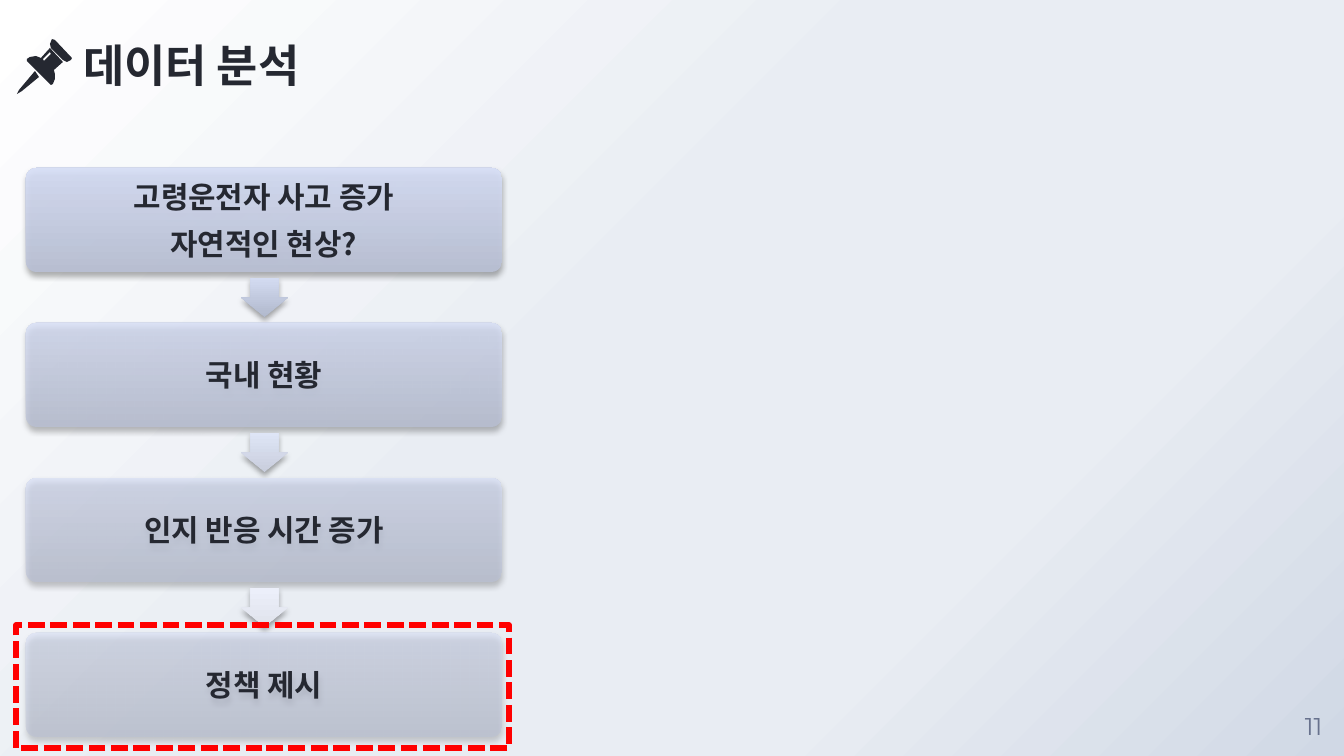
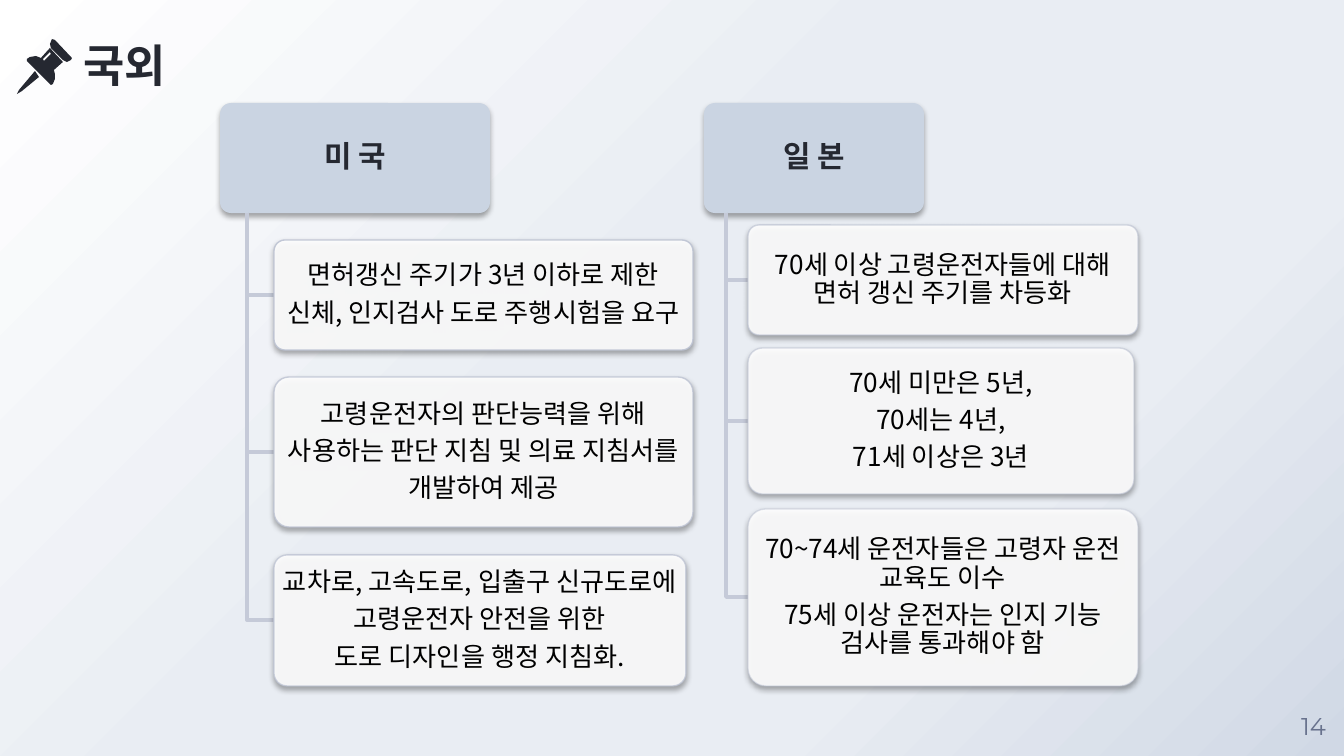
from lxml import etree
from pptx import Presentation
from pptx import util as u
from pptx.dml.color import RGBColor
from pptx.enum import dml, shapes, text
from pptx.oxml import parse_xml
from pptx.oxml.ns import nsdecls, qn

# Content
STEPS = [
    (["고령운전자 사고 증가", "자연적인 현상?"], 90),
    (["국내 현황"], 77),
    (["인지 반응 시간 증가"], 63),
    (["정책 제시"], 50),
]
ARROWS = [("B1B9CD", "D3DBF1"), ("C9CEDD", "DEE5F6"), ("E0E3EC", "ECEFFA")]

# Country: name, font, left, width, rules as (top, width, height, lines)
LANDS = [
    ("미 국", "Arial", 220, 270, [
        (240, 419, 110, ["면허갱신 주기가 3년 이하로 제한",
                         "신체, 인지검사 도로 주행시험을 요구"]),
        (377, 419, 150, ["고령운전자의 판단능력을 위해",
                         "사용하는 판단 지침 및 의료 지침서를",
                         "개발하여 제공"]),
        (555, 412, 131, ["교차로, 고속도로, 입출구 신규도로에",
                         "고령운전자 안전을 위한",
                         "도로 디자인을 행정 지침화."]),
    ]),
    ("일 본", "Noto Sans CJK KR", 704, 220, [
        (225, 390, 110, ["70세 이상 고령운전자들에 대해 면허 갱신 주기를 차등화"]),
        (348, 386, 146, ["70세 미만은 5년,", "70세는 4년,", "71세 이상은 3년"]),
        (509, 390, 177, ["70~74세 운전자들은 고령자 운전 교육도 이수",
                         "75세 이상 운전자는 인지 기능 검사를 통과해야 함"]),
    ]),
]

# Shared look
PX = 914400 / 134.4
KR = "Noto Sans CJK KR"
INK, RED, WIRE, EDGE, HEAD = "252831", "FF0000", "C5CAD8", "BDC3D3", "CAD4E2"
SKY = [(0, "FFFFFF"), (44, "E9EDF3"), (72, "E9EDF3"), (100, "D0D8E5")]
GLOW = '<a:path path="circle"><a:fillToRect r="100000" b="100000"/></a:path>'
RISE = '<a:lin ang="16200000" scaled="0"/>'
PIN = [  # each part is a list of outlines
    [[(35, 71), (19, 90), (17, 94), (22, 91), (39, 77)]],
    [[(52, 39), (50, 44), (51, 48), (63, 60), (67, 62), (71, 60), (72, 58), (55, 40)]],
    [[(50, 48), (41, 58), (36, 56), (30, 57), (27, 59), (27, 61), (51, 85),
      (53, 84), (55, 79), (55, 74), (54, 70), (63, 62)],
     [(50, 52), (51, 54), (44, 61), (43, 59)]],
]


def px(*vals):
    return [u.Emu(round(v * PX)) for v in vals]


def rgb(code):
    return RGBColor.from_string(code)


def fade(node, pct):
    for clr in node.iter(qn("a:srgbClr")):
        etree.SubElement(clr, qn("a:alpha")).set("val", str(pct * 1000))


def blend(fill, host, stops, tail, pct=100):
    """Fill the host element with a gradient."""
    fill.solid()
    marks = "".join(f'<a:gs pos="{at * 1000}"><a:srgbClr val="{code}"/></a:gs>'
                    for at, code in stops)
    grad = parse_xml(f'<a:gradFill {nsdecls("a")} rotWithShape="0">'
                     f'<a:gsLst>{marks}</a:gsLst>{tail}</a:gradFill>')
    if pct < 100:
        fade(grad, pct)
    host.replace(host.find(qn("a:solidFill")), grad)


def shade(shp):
    """Give the shape a soft shadow below it."""
    drop = parse_xml(f'<a:outerShdw {nsdecls("a")} blurRad="39370" dist="22860" '
                     'dir="5400000" rotWithShape="0"><a:srgbClr val="000000"/></a:outerShdw>')
    fade(drop, 35)
    shp._element.spPr.find(qn("a:effectLst")).append(drop)


def write(shp, lines, pad=(0, 0), font=KR, size=16, color=INK, bold=True,
          mid=True, gap=0, lead=None):
    """Put one paragraph for each line into the shape."""
    frame = shp.text_frame
    wide, high = px(*pad)
    look = dict(word_wrap=True, margin_left=wide, margin_right=wide, margin_top=high,
                margin_bottom=high, vertical_anchor=text.MSO_ANCHOR.MIDDLE if mid
                else text.MSO_ANCHOR.TOP)
    for key, val in look.items():
        setattr(frame, key, val)
    for i, line in enumerate(lines):
        para = frame.paragraphs[0] if i == 0 else frame.add_paragraph()
        para.alignment = text.PP_ALIGN.CENTER if mid else text.PP_ALIGN.LEFT
        para.line_spacing = lead
        para.space_after = u.Pt(size * gap)
        run = para.add_run()
        run.text = line
        for key, val in dict(name=font, size=u.Pt(size), bold=bold).items():
            setattr(run.font, key, val)
        run.font.color.rgb = rgb(color)
        east = etree.SubElement(run.font._element, qn("a:ea"))
        east.set("typeface", KR)


def shape(page, kind, box, adj=()):
    shp = page.shapes.add_shape(getattr(shapes.MSO_SHAPE, kind), *px(*box))
    shp.shadow.inherit = False
    shp.line.fill.background()
    for i, val in enumerate(adj):
        shp.adjustments[i] = val
    return shp


def card(page, box, fill=None):
    """Rounded box with a shadow."""
    shp = shape(page, "ROUNDED_RECTANGLE", box, [0.1])
    if fill:
        shp.fill.solid()
        shp.fill.fore_color.rgb = rgb(fill)
    shade(shp)
    return shp


def trace(owner, loops, close=True):
    """Freeform through the points of each outline."""
    pen = owner.build_freeform(*loops[0][0], scale=PX)
    for i, loop in enumerate(loops):
        if i:
            pen.move_to(*loop[0])
        pen.add_line_segments(loop[1:], close=close)
    shp = pen.convert_to_shape()
    shp.shadow.inherit = False
    return shp


def start(deck, title, num):
    """Slide with background, title, pin and number."""
    page = deck.slides.add_slide(deck.slide_layouts[6])
    fill = page.background.fill
    fill.solid()
    blend(fill, page._element.find(".//" + qn("p:bgPr")), SKY, GLOW)
    write(page.shapes.add_textbox(*px(1283, 696, 61, 60)), [num],
          font="Montserrat", size=13, color="68728D", bold=False)
    write(page.shapes.add_textbox(*px(83, 38, 958, 56)), [title], size=24, mid=False)
    pin = page.shapes.add_group_shape()
    for loops in PIN:
        part = trace(pin.shapes, loops)
        part.fill.solid()
        part.fill.fore_color.rgb = rgb(INK)
        part.line.fill.background()
    return page


def flow(deck):
    page = start(deck, "데이터 분석", "11")
    left, top, wide, high, step = 26, 168, 476, 104, 155
    for i, (lines, pct) in enumerate(STEPS):
        y = top + i * step
        shp = card(page, (left, y, wide, high))
        blend(shp.fill, shp._element.spPr, [(0, "BAC1D6"), (100, "D6DEF6")], RISE, pct)
        write(shp, lines, pad=(9, 9), gap=0.35)
        if i < len(ARROWS):
            dark, pale = ARROWS[i]
            tip = shape(page, "RIGHT_ARROW", (245, y + 106, 39, 47), [0.6, 0.5])
            tip.rotation = 90
            blend(tip.fill, tip._element.spPr, [(0, dark), (100, pale)], RISE)
            shade(tip)

    # Frame around the last step
    mark = shape(page, "RECTANGLE", (16, 625, 493, 123))
    mark.fill.background()
    mark.line.color.rgb = rgb(RED)
    mark.line.width = u.Pt(3)
    mark.line.dash_style = dml.MSO_LINE.SQUARE_DOT


def lands(deck):
    page = start(deck, "국외", "14")
    top, high, pct = 103, 110, 90
    for name, font, left, wide, rules in LANDS:
        stem, x = left + wide // 10, left + wide // 5
        head = card(page, (left, top, wide, high), HEAD)
        write(head, [name], pad=(4, 3), font=font, gap=0.35, lead=0.9)
        for y, w, h, lines in rules:
            mid = y + h // 2
            wire = trace(page.shapes, [[(stem, top + high), (stem, mid), (x, mid)]], False)
            wire.fill.background()
            wire.line.color.rgb = rgb(WIRE)
            wire.line.width = u.Pt(2)

            shp = card(page, (x, y, w, h), "FFFFFF")
            fade(shp._element.spPr.find(qn("a:solidFill")), 90)
            shp.line.color.rgb = rgb(EDGE)
            shp.line.width = u.Pt(0.75)
            fade(shp._element.spPr.find(qn("a:ln")), pct)
            pct -= 8
            write(shp, lines, pad=(4, 3), size=14, color="000000", bold=False,
                  gap=0.35, lead=0.9)


def main():
    deck = Presentation()
    deck.slide_width, deck.slide_height = px(1344, 756)
    flow(deck)
    lands(deck)
    deck.save("out.pptx")


if __name__ == "__main__":
    main()
